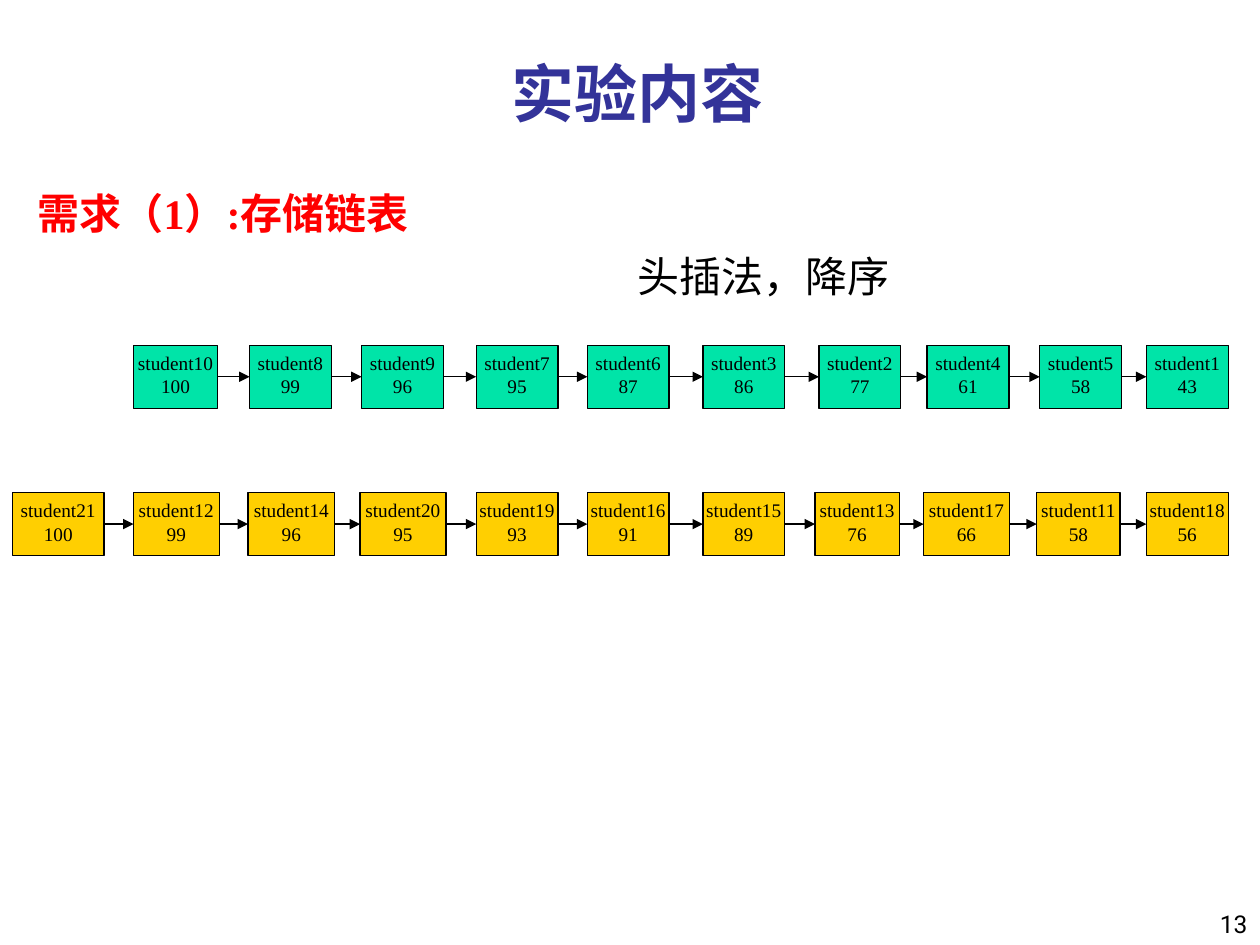
from lxml import etree
from pptx import Presentation
from pptx.dml.color import RGBColor
from pptx.enum.shapes import MSO_CONNECTOR, MSO_SHAPE
from pptx.enum.text import MSO_ANCHOR, PP_ALIGN
from pptx.oxml.ns import qn
from pptx.util import Cm, Pt

BLACK = RGBColor(0x00, 0x00, 0x00)
RED = RGBColor(0xFF, 0x00, 0x00)
NAVY = RGBColor(0x33, 0x33, 0x99)
GREEN = RGBColor(0x00, 0xE4, 0xA8)
YELLOW = RGBColor(0xFF, 0xCF, 0x01)
SERIF = "Times New Roman"
CJK = "Noto Sans CJK SC"
LEFT_SIDE, RIGHT_SIDE = 1, 3

# Each node: student number, score, left and width in cm
GREEN_LIST = [
    (10, 100, 2.69, 1.7), (8, 99, 5.03, 1.65), (9, 96, 7.29, 1.65),
    (7, 95, 9.6, 1.65), (6, 87, 11.84, 1.65), (3, 86, 14.17, 1.65),
    (2, 77, 16.51, 1.65), (4, 61, 18.69, 1.65), (5, 58, 20.96, 1.65),
    (1, 43, 23.11, 1.65),
]
YELLOW_LIST = [
    (21, 100, 0.25, 1.85), (12, 99, 2.69, 1.73), (14, 96, 5.0, 1.75),
    (20, 95, 7.26, 1.73), (19, 93, 9.6, 1.65), (16, 91, 11.84, 1.65),
    (15, 89, 14.17, 1.65), (13, 76, 16.43, 1.7), (17, 66, 18.62, 1.73),
    (11, 58, 20.9, 1.68), (18, 56, 23.11, 1.65),
]


def write_text(shape, text, size, color=BLACK, font=SERIF, bold=False,
               align=PP_ALIGN.LEFT, anchor=MSO_ANCHOR.TOP, wrap=True):
    """Fill the shape with text, one paragraph per line."""
    frame = shape.text_frame
    frame.word_wrap = wrap
    frame.vertical_anchor = anchor
    frame.text = text
    for paragraph in frame.paragraphs:
        paragraph.alignment = align
        run = paragraph.runs[0]
        run.font.name = font
        run.font.size = Pt(size)
        run.font.bold = bold
        run.font.color.rgb = color
        east_asian = etree.Element(qn("a:ea"), typeface=CJK)
        run.font._element.find(qn("a:latin")).addnext(east_asian)


def add_arrow(slide, source, target):
    arrow = slide.shapes.add_connector(MSO_CONNECTOR.STRAIGHT, 0, 0, 0, 0)
    arrow.begin_connect(source, RIGHT_SIDE)
    arrow.end_connect(target, LEFT_SIDE)
    arrow.line.color.rgb = BLACK
    arrow.line.width = Pt(0.75)
    etree.SubElement(arrow.line._get_or_add_ln(), qn("a:tailEnd"), type="triangle")
    etree.SubElement(arrow._element.spPr, qn("a:effectLst"))


presentation = Presentation()
presentation.slide_width = Cm(25.4)
presentation.slide_height = Cm(19.05)
slide = presentation.slides.add_slide(presentation.slide_layouts[6])

for nodes, top, color in [(GREEN_LIST, 6.96, GREEN), (YELLOW_LIST, 9.93, YELLOW)]:
    previous = None
    for number, score, left, width in nodes:
        node = slide.shapes.add_shape(
            MSO_SHAPE.RECTANGLE, Cm(left), Cm(top), Cm(width), Cm(1.27))
        node.shadow.inherit = False
        node.fill.solid()
        node.fill.fore_color.rgb = color
        node.line.color.rgb = BLACK
        node.line.width = Pt(0.75)
        write_text(node, f"student{number}\n{score}", 11,
                   align=PP_ALIGN.CENTER, wrap=False)
        if previous is not None:
            add_arrow(slide, previous, node)
        previous = node

title = slide.shapes.add_textbox(Cm(2.13), Cm(0.64), Cm(21.44), Cm(2.1))
write_text(title, "实验内容", 36, color=NAVY, bold=True,
           align=PP_ALIGN.CENTER, anchor=MSO_ANCHOR.BOTTOM)

requirement = slide.shapes.add_textbox(Cm(0.51), Cm(3.66), Cm(8.97), Cm(1.27))
write_text(requirement, "需求（1）:存储链表", 24, color=RED, bold=True)

method = slide.shapes.add_textbox(Cm(12.6), Cm(4.93), Cm(6.43), Cm(1.27))
write_text(method, "头插法，降序", 24, font=CJK)

page_number = slide.shapes.add_textbox(Cm(20.12), Cm(17.78), Cm(5.28), Cm(1.27))
write_text(page_number, "13", 14, font="Roboto",
           align=PP_ALIGN.RIGHT, anchor=MSO_ANCHOR.BOTTOM)

presentation.save("out.pptx")
